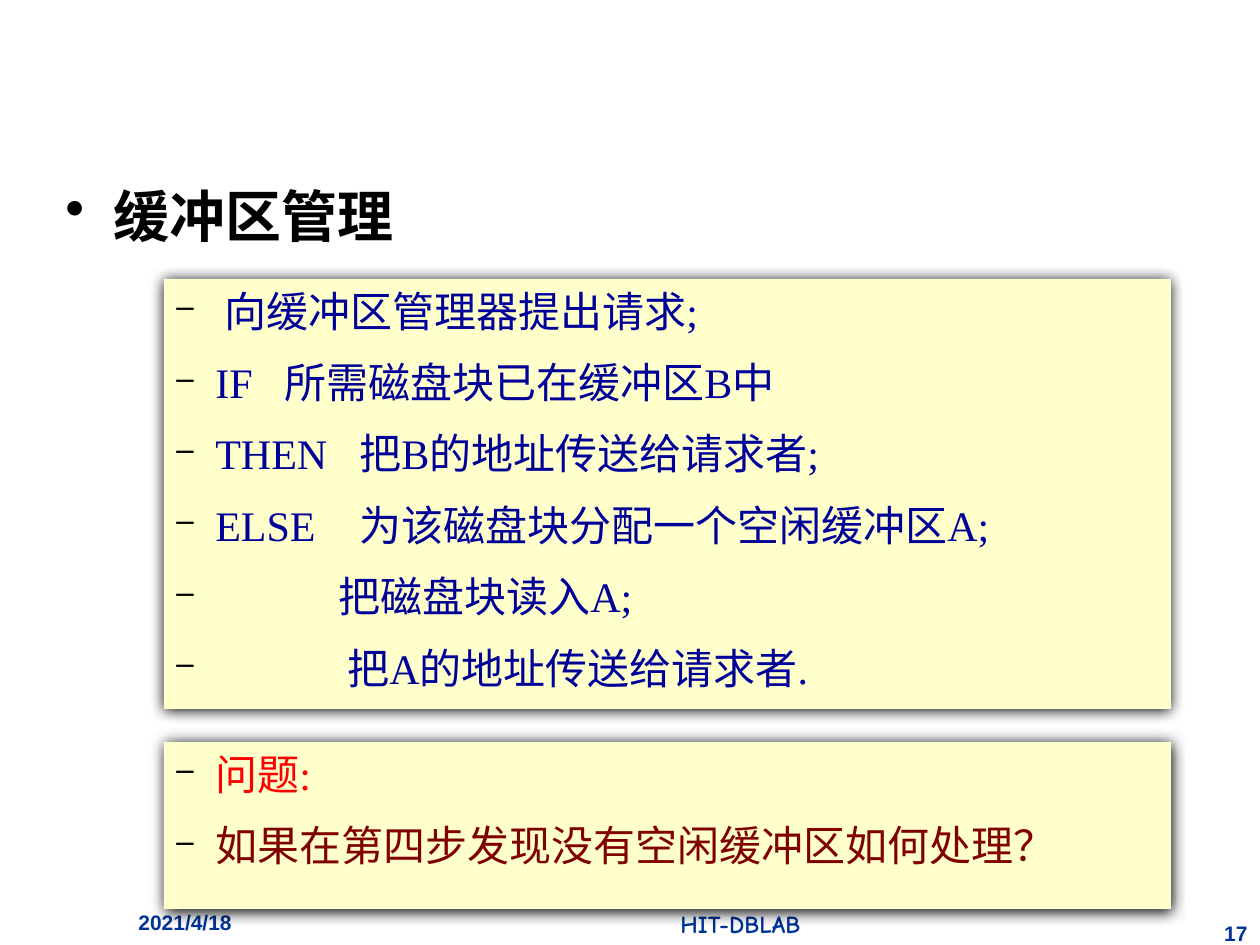
from lxml import etree
from pptx import Presentation
from pptx.dml.color import RGBColor
from pptx.enum.shapes import MSO_SHAPE as Shape
from pptx.enum.text import MSO_ANCHOR as Anchor, PP_ALIGN as Align
from pptx.oxml.ns import qn
from pptx.util import Emu, Pt

EMU_PER_PX = 914400 / 126


def px(value):
    return Emu(round(value * EMU_PER_PX))


def color(value):
    return RGBColor.from_string(value)


presentation = Presentation()
presentation.slide_width = px(1260)
presentation.slide_height = px(945)
slide = presentation.slides.add_slide(presentation.slide_layouts[6])

SERIF, SANS, COMIC = "Times New Roman", "Arial", "Comic Neue"
BLUE, RED, MAROON, FOOTER = "000099", "FF0000", "800000", "003399"

# Each line: text, color, left indent, hanging indent, tab stop
steps = [
    ("向缓冲区管理器提出请求;", BLUE, 48, 48, None),
    ("IF\t所需磁盘块已在缓冲区B中", BLUE, 39, 39, 108),
    ("THEN\t把B的地址传送给请求者;", BLUE, 39, 39, 183),
    ("ELSE\t为该磁盘块分配一个空闲缓冲区A;", BLUE, 39, 39, 183),
    ("把磁盘块读入A;", BLUE, 162, 162, None),
    ("把A的地址传送给请求者.", BLUE, 171, 171, None),
]
questions = [
    ("问题:", RED, 39, 39, None),
    ("如果在第四步发现没有空闲缓冲区如何处理？", MAROON, 39, 39, None),
]
heading = [("缓冲区管理", "000000", 48, 48, None)]

# Each block: box, bullet, size, font, bold, alignment, lines
blocks = [
    ((53, 175, 1134, 83), "•", 32, SERIF, True, Align.LEFT, heading),
    ((126, 903, 220, 42), None, 12, SANS, True, Align.LEFT,
     [("2021/4/18", FOOTER, 0, 0, None)]),
    ((441, 903, 599, 42), None, 14, COMIC, True, Align.CENTER,
     [("HIT-DBLAB", FOOTER, 0, 0, None)]),
    ((1207, 914, 53, 31), None, 12, SANS, True, Align.RIGHT,
     [("17", FOOTER, 0, 0, None)]),
    ((164, 279, 1007, 430), "–", 24, SERIF, False, Align.LEFT, steps),
    ((164, 742, 1007, 167), "–", 24, SERIF, False, Align.LEFT, questions),
]

for box, bullet, size, font_name, bold, alignment, lines in blocks:
    bounds = [px(value) for value in box]

    # Yellow panels with a soft shadow, or plain text boxes
    if bullet == "–":
        shape = slide.shapes.add_shape(Shape.RECTANGLE, *bounds)
        shape.fill.solid()
        shape.fill.fore_color.rgb = color("FFFFCC")
        shape.line.fill.background()
        shape.shadow.inherit = False
        effects = shape._element.spPr.find(qn("a:effectLst"))
        shadow = etree.SubElement(
            effects, qn("a:outerShdw"), blurRad=str(Pt(8.5)),
            dist=str(Pt(1)), dir="5400000", algn="ctr", rotWithShape="0")
        etree.SubElement(shadow, qn("a:srgbClr"), val="000000")
    else:
        shape = slide.shapes.add_textbox(*bounds)

    frame = shape.text_frame
    frame.word_wrap = True
    frame.vertical_anchor = Anchor.TOP

    for index, (text, text_color, left, hanging, tab) in enumerate(lines):
        paragraph = frame.paragraphs[0] if index == 0 else frame.add_paragraph()
        paragraph.alignment = alignment
        if index:
            paragraph.space_before = Pt(12)

        # Bullet, hanging indent and tab stop
        if bullet:
            properties = paragraph._p.get_or_add_pPr()
            properties.set("marL", str(px(left)))
            properties.set("indent", str(-px(hanging)))
            if bullet == "–":
                bullet_color = etree.SubElement(properties, qn("a:buClr"))
                etree.SubElement(bullet_color, qn("a:srgbClr"), val="000000")
                etree.SubElement(properties, qn("a:buSzPct"), val="75000")
            etree.SubElement(properties, qn("a:buChar"), char=bullet)
            if tab:
                tabs = etree.SubElement(properties, qn("a:tabLst"))
                etree.SubElement(tabs, qn("a:tab"), pos=str(px(tab)), algn="l")

        run = paragraph.add_run()
        run.text = text
        run.font.color.rgb = color(text_color)
        for name, value in {"name": font_name, "size": Pt(size), "bold": bold}.items():
            setattr(run.font, name, value)

presentation.save("out.pptx")
